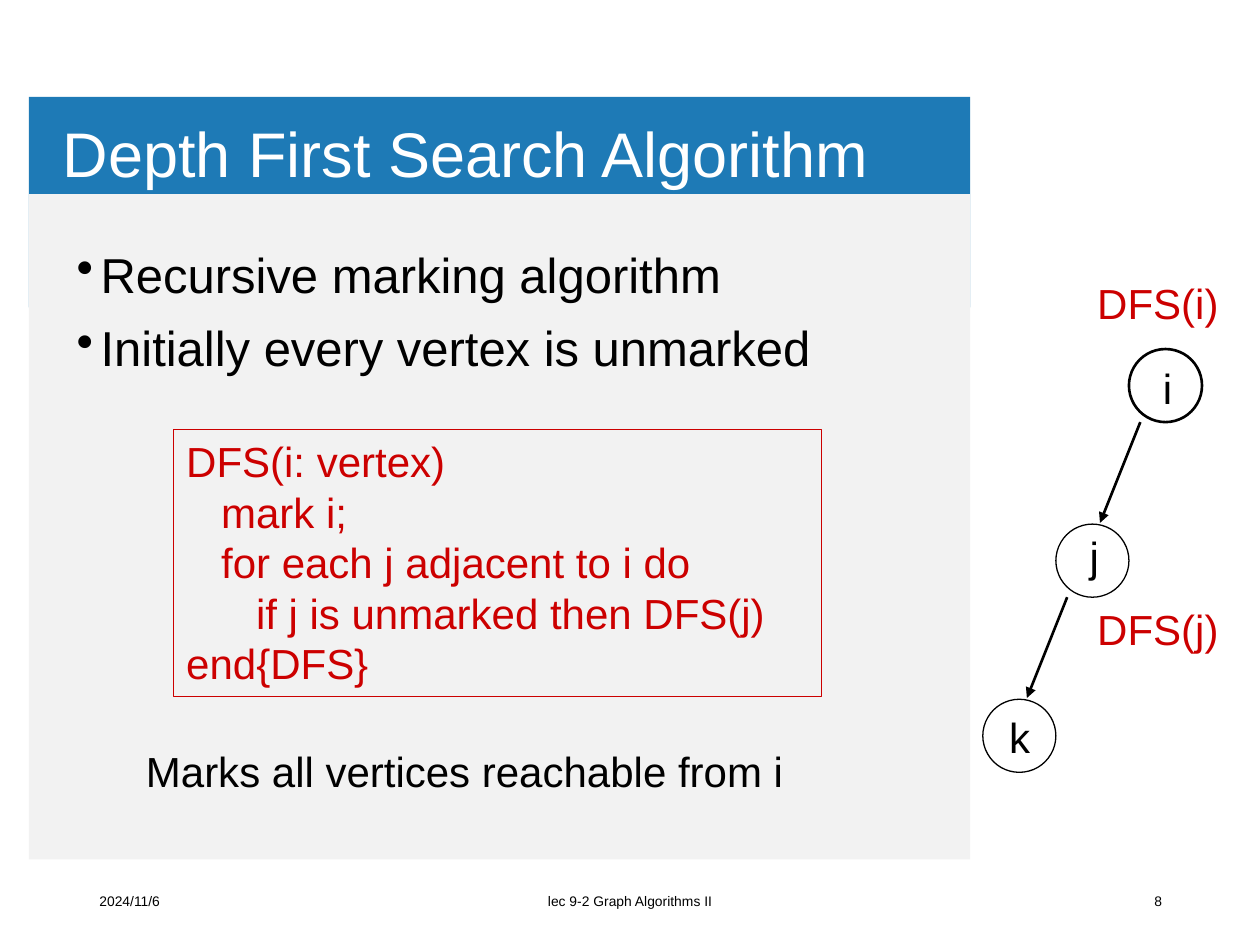
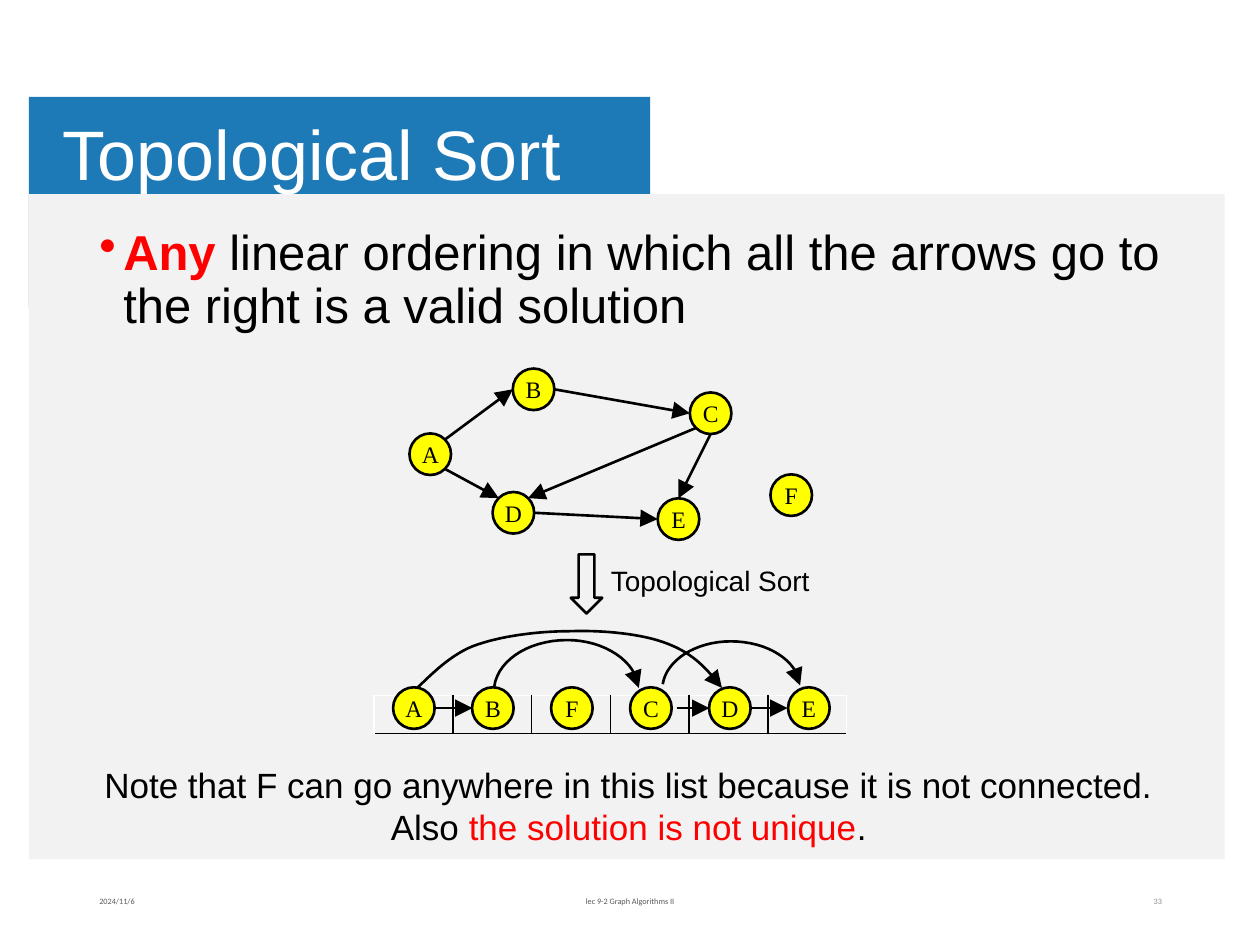
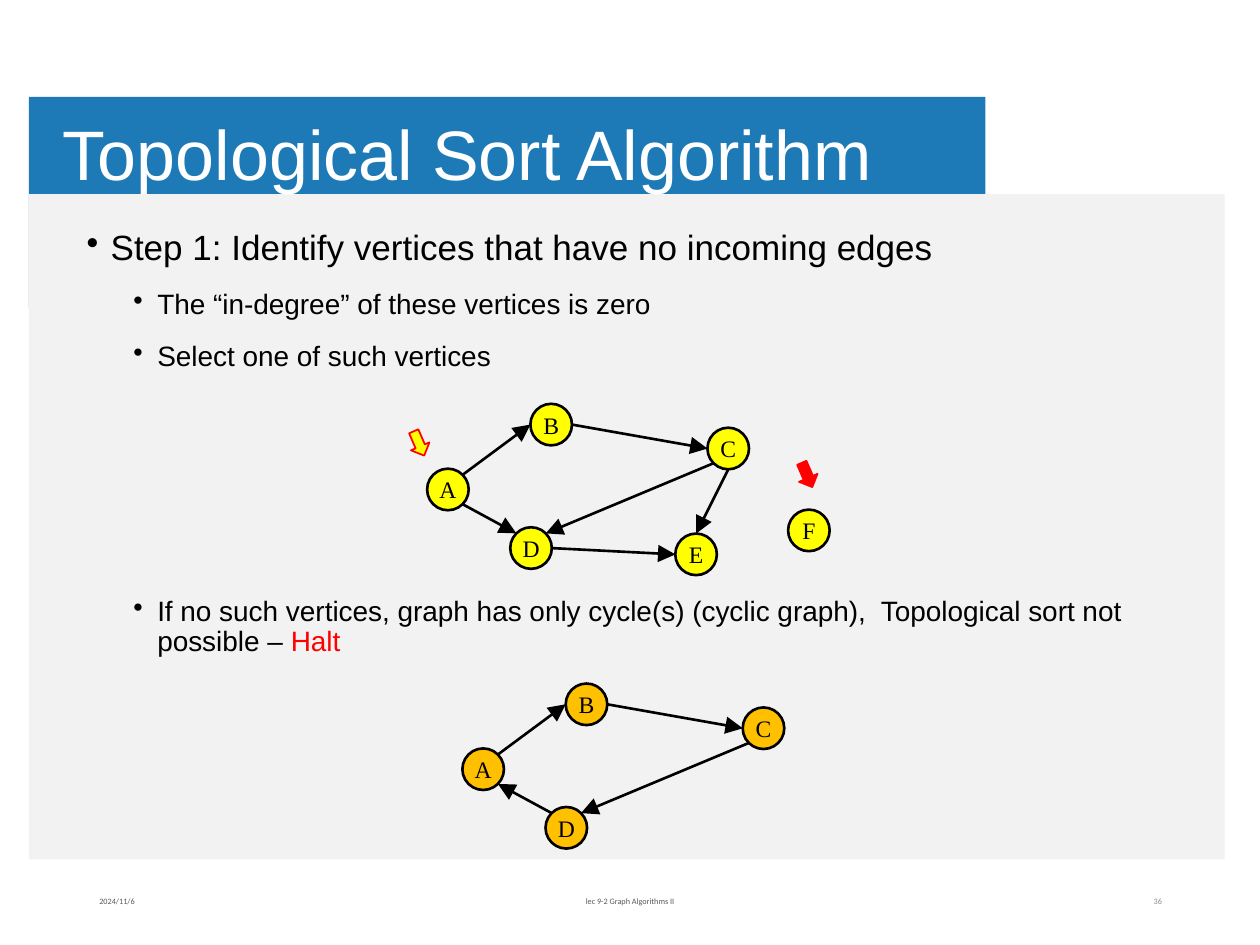
from dataclasses import dataclass
from math import cos, radians, sin
from typing import NamedTuple, Optional

from lxml.etree import SubElement
from pptx import Presentation
from pptx.dml.color import RGBColor as RGB
from pptx.enum.shapes import MSO_CONNECTOR as Conn, MSO_SHAPE as Geo
from pptx.enum.text import MSO_ANCHOR as Anchor, PP_ALIGN as Align
from pptx.oxml import parse_xml
from pptx.oxml.ns import nsdecls, qn
from pptx.util import Emu, Inches, Pt

COLUMNS = 100  # the grid is 100 columns by 75 rows of square cells
SLIDE_W, SLIDE_H = Inches(10), Inches(7.5)


@dataclass(frozen=True)
class Theme:
    blue: str = "1E7AB6"
    panel: str = "F2F2F2"
    black: str = "000000"
    white: str = "FFFFFF"
    code: str = "CC0000"
    red: str = "FF0000"
    yellow: str = "FFFF00"
    orange: str = "FFC000"
    grey: str = "595959"
    pale: str = "8C8C8C"
    sans: str = "Arial"
    small: str = "Calibri"
    serif: str = "Times New Roman"
    title: float = 40
    long_title: float = 36
    body: float = 28
    label: float = 24
    step: float = 20
    detail: float = 16
    node: float = 13.5


T = Theme()


class Box(NamedTuple):
    x: float
    y: float
    w: float
    h: float


class Point(NamedTuple):
    x: float
    y: float


class Span(NamedTuple):
    text: str
    color: Optional[str] = None
    bold: bool = False


class Para(NamedTuple):
    spans: tuple
    size: Optional[float] = None
    indent: float = 1.9
    before: float = 12


class Edge(NamedTuple):
    """Arrow between two nodes; angles are degrees clockwise from the right."""
    start: str
    start_angle: float
    end: str
    end_angle: float


class FooterStyle(NamedTuple):
    size: float
    font: str
    color: str
    page_color: str


PLAIN_FOOTER = FooterStyle(7.9, T.sans, T.black, T.black)
FAINT_FOOTER = FooterStyle(4.7, T.small, T.grey, T.pale)

NODE_SIZE = 3.3
LAYOUT = {
    "A": Point(0, 0), "B": Point(8.2, -5.15), "C": Point(22.25, -3.25),
    "D": Point(6.6, 4.65), "E": Point(19.7, 5.15), "F": Point(28.65, 3.25),
}
RIGHT, DOWN_RIGHT, DOWN, DOWN_LEFT, LEFT, UP_LEFT, UP, UP_RIGHT = range(0, 360, 45)
SHARED_EDGES = (
    Edge("A", UP_RIGHT, "B", LEFT),
    Edge("B", RIGHT, "C", LEFT),
    Edge("C", DOWN_LEFT, "D", UP_RIGHT),
)
ACYCLIC = SHARED_EDGES + (
    Edge("A", DOWN_RIGHT, "D", UP_LEFT),
    Edge("C", DOWN, "E", UP),
    Edge("D", RIGHT, "E", LEFT),
)
CYCLIC = SHARED_EDGES + (Edge("D", UP_LEFT, "A", DOWN_RIGHT),)


def cells(n: float) -> Emu:
    return Emu(round(n * SLIDE_W / COLUMNS))


def place(box: Box) -> list:
    return [cells(n) for n in box]


def write(tf, paras, *, size=T.label, font=T.sans, color=T.black, align=None,
          anchor=Anchor.TOP, inset=(1, 0.5), line=None, bullet=False, wrap=True):
    """Fill a text frame; each paragraph is a plain string or a Para."""
    tf.word_wrap, tf.vertical_anchor = wrap, anchor
    tf.margin_left = tf.margin_right = cells(inset[0])
    tf.margin_top = tf.margin_bottom = cells(inset[1])
    for i, para in enumerate(paras):
        if isinstance(para, str):
            para = Para((Span(para),), before=0)
        p = tf.paragraphs[0] if i == 0 else tf.add_paragraph()
        if bullet:
            pPr = p._p.get_or_add_pPr()
            pPr.set("marL", str(cells(para.indent)))
            pPr.set("indent", str(-cells(1.9)))
            SubElement(pPr, qn("a:buChar"), char="•")
        p.alignment = align
        if line:
            p.line_spacing = line
        if i:
            p.space_before = Pt(para.before)
        for span in para.spans:
            r = p.add_run()
            r.text = span.text
            r.font.size, r.font.name = Pt(para.size or size), font
            r.font.bold = span.bold
            r.font.color.rgb = RGB.from_string(span.color or color)


def add_text(s, box: Box, *paras, **fmt):
    write(s.shapes.add_textbox(*place(box)).text_frame, paras, **fmt)


def paint(sp, fill=None, line=None, width=1.5):
    sp.shadow.inherit = False
    if fill:
        sp.fill.solid()
        sp.fill.fore_color.rgb = RGB.from_string(fill)
    else:
        sp.fill.background()
    if line:
        sp.line.color.rgb = RGB.from_string(line)
        sp.line.width = Pt(width)
    else:
        sp.line.fill.background()


def add_shape(s, geo, box: Box, fill=None, line=None, width=1.5):
    sp = s.shapes.add_shape(geo, *place(box))
    paint(sp, fill, line, width)
    return sp


def add_arrowhead(sp, size: str):
    ln = sp._element.spPr.find(qn("a:ln"))
    SubElement(ln, qn("a:tailEnd"), type="triangle", w=size, len=size)


def add_arrow(s, start: Point, end: Point, head="lg"):
    c = s.shapes.add_connector(Conn.STRAIGHT, *place((*start, *end)))
    c.line.color.rgb, c.line.width = RGB.from_string(T.black), Pt(1.5)
    add_arrowhead(c, head)
    SubElement(c._element.spPr, qn("a:effectLst"))


def bezier(a, b, c, d, steps=16):
    for i in range(1, steps + 1):
        t = i / steps
        u = 1 - t
        yield [cells(u**3 * k + 3 * u * u * t * l + 3 * u * t * t * m + t**3 * n)
               for k, l, m, n in zip(a, b, c, d)]


def add_curved_arrow(s, start, *curves):
    """Each curve is two control points and an end point."""
    fb = s.shapes.build_freeform(*place(start))
    for curve in curves:
        fb.add_line_segments(list(bezier(start, *curve)), close=False)
        start = curve[-1]
    sp = fb.convert_to_shape()
    paint(sp, line=T.black)
    add_arrowhead(sp, "lg")


def add_node(s, name: str, at: Point, fill: str):
    sp = add_shape(s, Geo.OVAL, Box(*at, NODE_SIZE, NODE_SIZE), fill, T.black)
    write(sp.text_frame, [name], size=T.node, font=T.serif, align=Align.CENTER,
          anchor=Anchor.MIDDLE, inset=(0, 0), wrap=False)


def rim(corner: Point, angle: float) -> Point:
    """Point on a node's outline."""
    r = NODE_SIZE / 2
    return Point(corner.x + r + r * cos(radians(angle)),
                 corner.y + r + r * sin(radians(angle)))


def add_graph(s, origin: Point, names: str, edges, fill=T.yellow):
    at = {n: Point(origin.x + LAYOUT[n].x, origin.y + LAYOUT[n].y) for n in names}
    for name, corner in at.items():
        add_node(s, name, corner, fill)
    for e in edges:
        add_arrow(s, rim(at[e.start], e.start_angle), rim(at[e.end], e.end_angle))


def add_base(prs, title: str, page: int, band_w: float, panel_w=94.9,
             title_size=T.title, footer=FAINT_FOOTER):
    s = prs.slides.add_slide(prs.slide_layouts[6])
    add_shape(s, Geo.RECTANGLE, Box(2.3, 7.7, band_w, 16.7), T.blue)
    add_shape(s, Geo.RECTANGLE, Box(2.3, 15.4, panel_w, 52.8), T.panel)
    add_text(s, Box(4.3, 7.6, 80.3, 9.8), title, size=title_size, color=T.white,
             anchor=Anchor.MIDDLE, inset=(0.7, 0.4), line=0.9)
    for x, w, text, align, color in (
        (6.9, 22.5, "2024/11/6", Align.LEFT, footer.color),
        (33.1, 33.8, "lec 9-2 Graph Algorithms II", Align.CENTER, footer.color),
        (70.7, 22.5, str(page), Align.RIGHT, footer.page_color),
    ):
        add_text(s, Box(x, 69.5, w, 4), text, size=footer.size, font=footer.font,
                 color=color, align=align, anchor=Anchor.MIDDLE)
    return s


def set_borders(cell, **colors):
    """Draw 1 pt borders; keys are L, R, T and B."""
    tcPr = cell._tc.get_or_add_tcPr()
    for i, side in enumerate("LRTB"):
        tcPr.insert(i, parse_xml(
            f'<a:ln{side} {nsdecls("a")} w="12700"><a:solidFill>'
            f'<a:srgbClr val="{colors[side]}"/></a:solidFill></a:ln{side}>'))


def add_slots(s, box: Box, count: int):
    frame = s.shapes.add_table(1, count, *place(box))
    table = frame.table
    table.first_row = table.horz_banding = False
    for i in range(count):
        table.columns[i].width = cells(box.w / count)
        cell = table.cell(0, i)
        cell.margin_left = cell.margin_right = cell.margin_top = cell.margin_bottom = 0
        cell.fill.background()
        set_borders(cell, L=T.black if i else T.white,
                    R=T.black if i < count - 1 else T.white, T=T.white, B=T.black)


def depth_first_search(prs):
    s = add_base(prs, "Depth First Search Algorithm", 8, 74.7, 74.7,
                 T.long_title, PLAIN_FOOTER)
    add_text(s, Box(5.1, 19.4, 69.8, 15.5),
             Para((Span("Recursive marking algorithm"),)),
             Para((Span("Initially every vertex is unmarked"),)),
             size=T.body, line=0.9, bullet=True)
    code = add_shape(s, Geo.RECTANGLE, Box(13.8, 34.1, 51.4, 21.2),
                     line=T.code, width=0.75)
    write(code.text_frame,
          ["DFS(i: vertex)", "   mark i;", "   for each j adjacent to i do",
           "      if j is unmarked then DFS(j)", "end{DFS}"],
          color=T.code, align=Align.LEFT)
    add_text(s, Box(10.6, 58.7, 56.6, 5), "Marks all vertices reachable from i")
    for i, (name, width, label) in enumerate((
        ("i", 1.5, Point(91.3, 28.3)),
        ("j", 0.75, Point(85.5, 41.6)),
        ("k", 0.75, Point(79.1, 56)),
    )):
        x, y = 89.6 - 5.8 * i, 27.7 + 13.9 * i
        add_shape(s, Geo.OVAL, Box(x, y, 5.8, 5.8), line=T.black, width=width)
        add_text(s, Box(*label, 5.9, 5), name)
        if i < 2:
            add_arrow(s, Point(x + 0.9, y + 5.8), Point(x - 2.3, y + 13.8), "med")
    for y, call in ((21.5, "DFS(i)"), (47.4, "DFS(j)")):
        add_text(s, Box(86.1, y, 13.1, 5), call, color=T.code)


def topological_sort(prs):
    s = add_base(prs, "Topological Sort", 33, 49.3)
    add_text(s, Box(6.9, 17.6, 86.3, 20.3),
             Para((Span("Any", T.red, True),
                   Span(" linear ordering in which all the arrows go to the right"
                        " is a valid solution"))),
             size=T.body, line=0.9, bullet=True)
    add_graph(s, Point(32.5, 34.4), "ABCDEF", ACYCLIC)
    add_curved_arrow(s, (39.2, 54.9), ((39.2, 52.6), (41.8, 50.8), (45, 50.8)),
                     ((48, 50.8), (50.5, 52.5), (50.7, 54.6)))
    add_curved_arrow(s, (52.6, 54.3), ((52.9, 52.4), (55.2, 50.9), (58, 50.9)),
                     ((60.9, 50.9), (63.3, 52.4), (63.5, 54.4)))
    add_curved_arrow(s, (33.1, 54.6), ((33.8, 54), (35.5, 52.1), (37.5, 51.3)),
                     ((39.6, 50.5), (42.6, 50.1), (45.2, 50.1)),
                     ((47.8, 50), (51, 50.3), (53, 51.1)),
                     ((55.1, 51.9), (56.2, 53.2), (57.3, 54.6)))
    add_slots(s, Box(29.7, 55.2, 37.5, 3), 6)
    for i, name in enumerate("ABFCDE"):
        add_node(s, name, Point(31.2 + 6.27 * i, 54.55), T.yellow)
    for start, end in ((34.4, 37.5), (53.7, 56.3), (59.6, 62.5)):
        add_arrow(s, Point(start, 56.2), Point(end, 56.2))
    add_text(s, Box(5.1, 60.1, 89.6, 7.7),
             Para((Span("Note that F can go anywhere in this list because it is"
                        " not connected. Also "),
                   Span("the solution is not unique", T.red), Span("."))),
             size=T.step, align=Align.CENTER, anchor=Anchor.MIDDLE)
    add_shape(s, Geo.DOWN_ARROW, Box(45.3, 44, 2.5, 4.7), line=T.black)
    add_text(s, Box(47.5, 44.2, 19, 3.7), "Topological Sort", size=T.detail)


def topological_sort_algorithm(prs):
    s = add_base(prs, "Topological Sort Algorithm", 36, 75.9)
    detail = {"size": T.detail, "indent": 5.6, "before": 12.5}
    bullets = {"line": 0.9, "bullet": True}
    add_text(s, Box(5.9, 17.8, 85.7, 13),
             Para((Span("Step 1: Identify vertices that have no incoming edges"),),
                  T.step),
             Para((Span("The “in-degree” of these vertices is zero"),), **detail),
             Para((Span("Select one of such vertices"),), **detail), **bullets)
    add_text(s, Box(5.9, 46.9, 85.7, 6),
             Para((Span("If no such vertices, graph has only cycle(s) (cyclic graph),"
                        "  Topological sort not possible – "),
                   Span("Halt", T.red)), **detail), **bullets)
    for x, y, fill in ((63, 36.9, T.red), (32.2, 34.4, T.yellow)):
        pointer = add_shape(s, Geo.RIGHT_ARROW, Box(x, y, 2.1, 1.6), fill, T.red, 1)
        pointer.rotation = 66.6
    add_graph(s, Point(33.9, 37.2), "ABCDEF", ACYCLIC)
    add_graph(s, Point(36.7, 59.4), "ABCD", CYCLIC, T.orange)


def main():
    prs = Presentation()
    prs.slide_width, prs.slide_height = SLIDE_W, SLIDE_H
    depth_first_search(prs)
    topological_sort(prs)
    topological_sort_algorithm(prs)
    prs.save("out.pptx")


if __name__ == "__main__":
    main()
